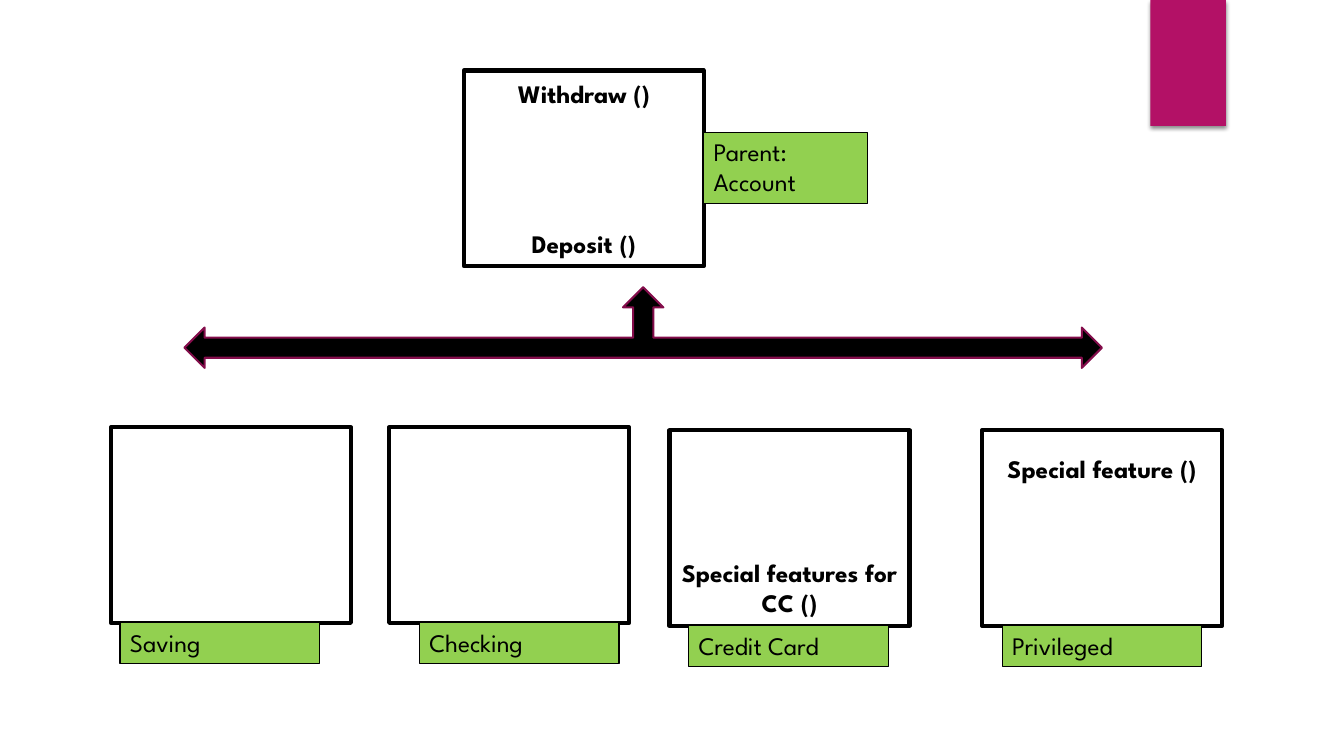
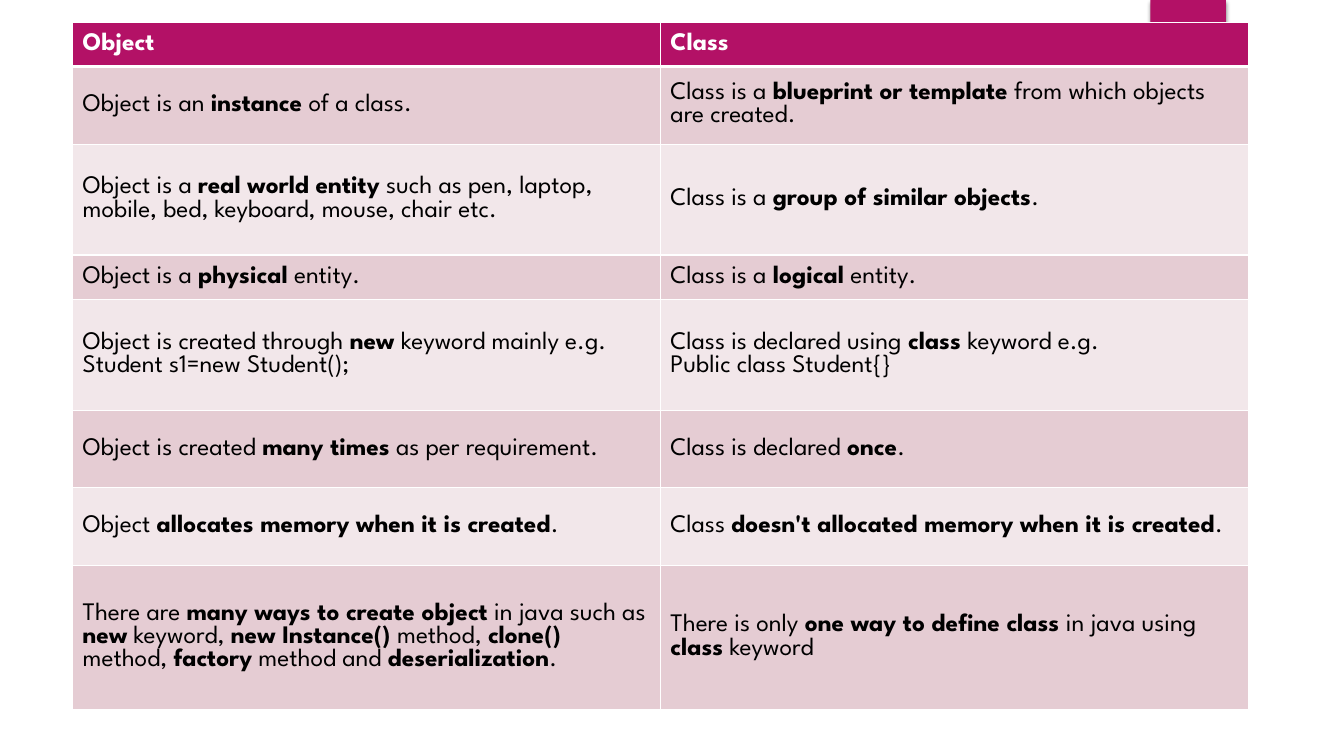
from dataclasses import dataclass

from lxml.etree import SubElement
from pptx import Presentation
from pptx.dml.color import RGBColor
from pptx.enum.shapes import MSO_SHAPE
from pptx.enum.text import MSO_ANCHOR, PP_ALIGN
from pptx.oxml import parse_xml
from pptx.oxml.ns import nsdecls, qn
from pptx.util import Inches, Pt


@dataclass(frozen=True)
class Theme:
    font: str = "League Spartan"
    size: float = 18
    lead: float = 21.4
    black: str = "000000"
    white: str = "FFFFFF"
    pink: str = "B31166"
    wine: str = "840D4B"
    green: str = "92D050"
    bands: tuple = ("E5CCD3", "F2E7EA")


class Deck:
    """Holds the style, the presentation and the current slide."""

    def __init__(self, theme):
        self.theme = theme
        self.prs = Presentation()
        self.prs.slide_width = Inches(13.33)
        self.prs.slide_height = Inches(7.5)
        self.slide = None

    def start(self):
        """Add a slide with the ribbon that every slide carries."""
        self.slide = self.prs.slides.add_slide(self.prs.slide_layouts[6])
        ribbon = self.shape(MSO_SHAPE.RECTANGLE, (11.41, 0, 0.75, 1.25), self.theme.pink)
        props = ribbon.element.spPr
        props.remove(props.find(qn("a:effectLst")))
        props.append(parse_xml(
            f'<a:effectLst {nsdecls("a")}><a:outerShdw blurRad="38100" dist="25400" '
            'dir="5400000" rotWithShape="0"><a:srgbClr val="000000">'
            '<a:alpha val="45000"/></a:srgbClr></a:outerShdw></a:effectLst>'))

    def shape(self, kind, at, fill, line=None, width=0.75):
        item = self.slide.shapes.add_shape(kind, *map(Inches, at))
        item.shadow.inherit = False
        item.fill.solid()
        item.fill.fore_color.rgb = RGBColor.from_string(fill)
        if line:
            item.line.color.rgb = RGBColor.from_string(line)
            item.line.width = Pt(width)
        else:
            item.line.fill.background()
        return item

    def say(self, para, text, color, bold=False):
        """Add text run by run; asterisks switch bold on and off."""
        for row, line in enumerate(text.split("\n")):
            if row:
                para.add_line_break()
            for part, words in enumerate(line.split("*")):
                if words:
                    run = para.add_run()
                    run.text = words
                    font = run.font
                    font.name = self.theme.font
                    font.size = Pt(self.theme.size)
                    font.bold = bold or part % 2 == 1
                    font.color.rgb = RGBColor.from_string(color)

    def box(self, at, texts=(), anchor=MSO_ANCHOR.MIDDLE, pad=0.05):
        """Draw a class box with its methods spread four lines apart."""
        theme = self.theme
        item = self.shape(MSO_SHAPE.RECTANGLE, at, theme.white, theme.black, 3)
        frame = item.text_frame
        frame.word_wrap = True
        frame.vertical_anchor = anchor
        frame.margin_top = frame.margin_bottom = Inches(pad)
        for row, text in enumerate(texts):
            para = frame.add_paragraph() if row else frame.paragraphs[0]
            para.alignment = PP_ALIGN.CENTER
            para.line_spacing = Pt(theme.lead)
            if row:
                para.space_before = Pt(4 * theme.lead)
            self.say(para, text, theme.black, True)

    def label(self, at, text):
        theme = self.theme
        item = self.shape(MSO_SHAPE.RECTANGLE, at, theme.green, theme.black)
        frame = item.text_frame
        frame.word_wrap = True
        frame.vertical_anchor = MSO_ANCHOR.TOP
        para = frame.paragraphs[0]
        para.alignment = PP_ALIGN.LEFT
        para.line_spacing = Pt(theme.lead)
        self.say(para, text, theme.black)

    def arrow(self, at):
        theme = self.theme
        self.shape(MSO_SHAPE.LEFT_RIGHT_UP_ARROW, at, theme.black, theme.wine, 1.5)

    def edge(self, cell, head):
        """Draw white cell borders, thicker below the header."""
        props = cell._tc.get_or_add_tcPr()
        for spot, side in enumerate(("lnL", "lnR", "lnT", "lnB")):
            points = 3 if head and side == "lnB" else 1
            line = SubElement(props, qn(f"a:{side}"), w=str(Pt(points)))
            fill = SubElement(line, qn("a:solidFill"))
            SubElement(fill, qn("a:srgbClr"), val=self.theme.white)
            props.insert(spot, line)

    def table(self, at, rows, highs):
        theme = self.theme
        count = len(rows[0])
        left, top, width = at
        grid = self.slide.shapes.add_table(
            len(rows), count, Inches(left), Inches(top),
            Inches(width), Inches(sum(highs))).table
        for row, (texts, high) in enumerate(zip(rows, highs)):
            grid.rows[row].height = Inches(high)
            head = row == 0
            fill = theme.pink if head else theme.bands[(row - 1) % 2]
            color = theme.white if head else theme.black
            for col, text in enumerate(texts):
                cell = grid.cell(row, col)
                cell.vertical_anchor = MSO_ANCHOR.MIDDLE
                cell.fill.solid()
                cell.fill.fore_color.rgb = RGBColor.from_string(fill)
                self.edge(cell, head)
                self.say(cell.text_frame.paragraphs[0], text, color, head)


ROWS = (
    ("Object", "Class"),
    ("Object is an *instance* of a class.",
     "Class is a *blueprint or template* from which objects are created."),
    ("Object is a *real world entity* such as pen, laptop, mobile, bed, "
     "keyboard, mouse, chair etc.",
     "Class is a *group of similar objects*."),
    ("Object is a *physical* entity.", "Class is a *logical* entity."),
    ("Object is created through *new *keyword mainly e.g.\nStudent s1=new Student();",
     "Class is declared using *class *keyword e.g.\nPublic class Student{}"),
    ("Object is created *many times* as per requirement.",
     "Class is declared *once*."),
    ("Object *allocates memory when it is created*.",
     "Class *doesn't allocated memory when it is created*."),
    ("There are *many ways to create object* in java such as *new* keyword, "
     "*new Instance() *method, *clone() *method, *factory* method and "
     "*deserialization*.",
     "There is only *one way to define class* in java using *class* keyword"),
)
HIGHS = (0.44, 0.77, 1.1, 0.44, 1.1, 0.77, 0.77, 1.43)


def tree(deck):
    """Build the slide on class inheritance."""
    deck.start()
    size = (2.38, 1.94)
    deck.box((4.6, 0.7, *size), ("Withdraw ()", "Deposit ()"))
    kids = (
        (1.1, 4.24, 1.19, "Saving", (), MSO_ANCHOR.MIDDLE, 0.05),
        (3.86, 4.24, 4.16, "Checking", (), MSO_ANCHOR.MIDDLE, 0.05),
        (6.64, 4.27, 6.83, "Credit Card", ("Special features for CC ()",),
         MSO_ANCHOR.BOTTOM, 0.08),
        (9.74, 4.27, 9.94, "Privileged", ("Special feature ()",),
         MSO_ANCHOR.TOP, 0.23),
    )
    for left, top, *_, texts, anchor, pad in kids:
        deck.box((left, top, *size), texts, anchor, pad)
    deck.label((6.98, 1.31, 1.62, 0.71), "Parent: Account")
    for _, top, left, name, *_ in kids:
        deck.label((left, top + size[1], 1.98, 0.4), name)
    deck.arrow((1.83, 2.85, 9.1, 0.8))


def main():
    deck = Deck(Theme())
    tree(deck)
    deck.start()
    deck.table((0.72, 0.22, 11.66), ROWS, HIGHS)
    deck.prs.save("out.pptx")


if __name__ == "__main__":
    main()
